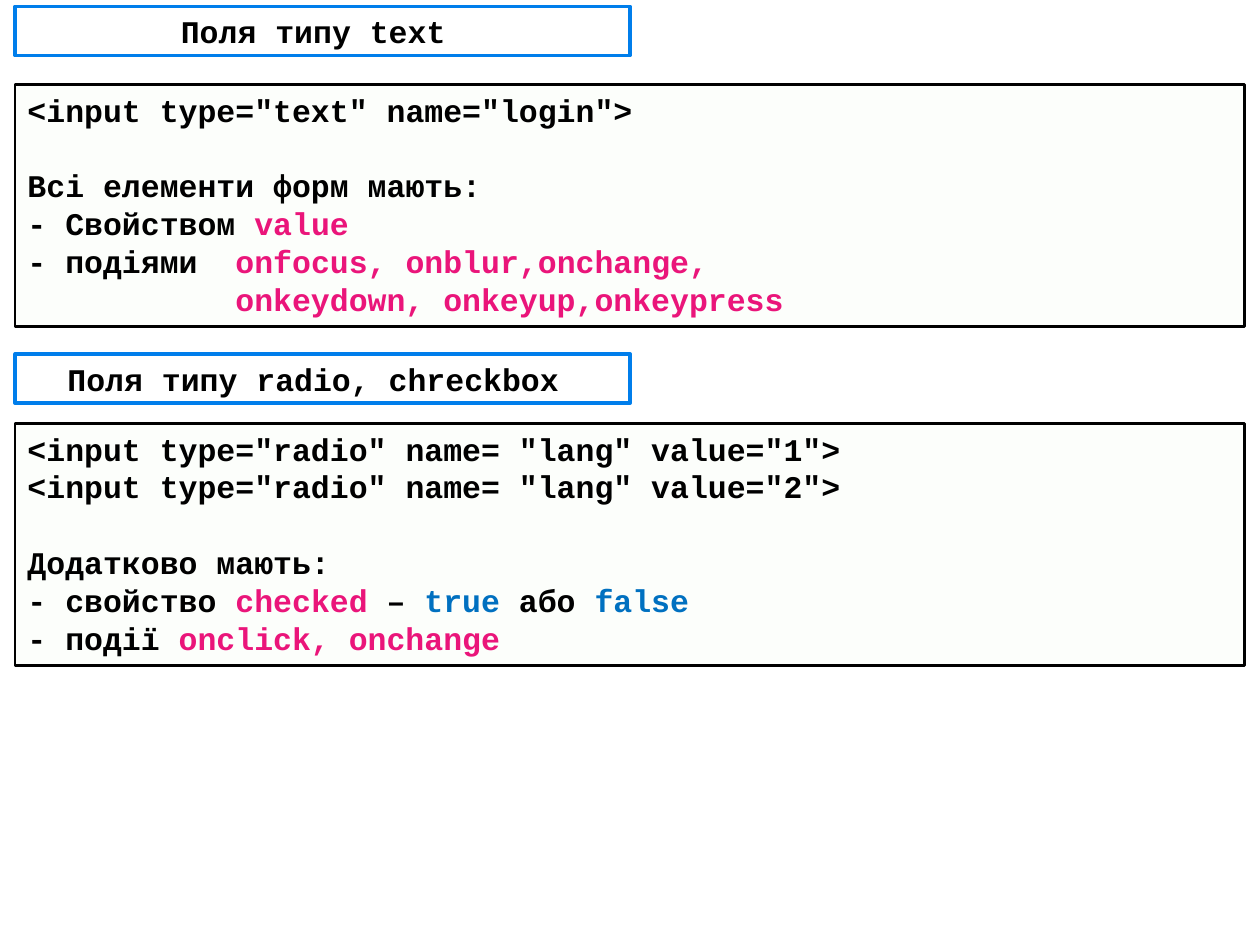
"""Build a slide about text, radio and checkbox form fields."""
from lxml import etree
from pptx import Presentation
from pptx import util as u
from pptx.dml.color import RGBColor
from pptx.enum import shapes, text
from pptx.oxml.ns import qn

COLORS = {"black": "000000", "white": "FFFFFF", "frame": "007EEB",
          "panel": "E5F6D8", "pink": "EA157A", "blue": "0070C0"}
FONT_SIZE = 18
LINE_GAP = 21.6
CHAR_WIDTH = 0.15
LEFT = 0.12


def rgb(name):
    """Return the named colour."""
    return RGBColor.from_string(COLORS[name])


def add_box(slide, top, width, height, fill, line, weight, alpha=None):
    """Add an outlined rectangle and return it."""
    sp = slide.shapes.add_shape(
        shapes.MSO_SHAPE.RECTANGLE, u.Inches(LEFT), u.Inches(top),
        u.Inches(width), u.Inches(height))
    sp.shadow.inherit = False
    sp.fill.solid()
    sp.fill.fore_color.rgb = rgb(fill)
    if alpha is not None:
        clr = sp.fill._xPr.find(qn("a:solidFill")).find(qn("a:srgbClr"))
        etree.SubElement(clr, qn("a:alpha")).set("val", str(alpha * 1000))
    sp.line.color.rgb = rgb(line)
    sp.line.width = u.Pt(weight)
    sp.text_frame.word_wrap = True
    return sp


def add_run(p, content, color="black", size=FONT_SIZE):
    """Add a bold monospaced run to a paragraph."""
    r = p.add_run()
    r.text = content
    r.font.name = "Courier New"
    r.font.size = u.Pt(size)
    r.font.bold = True
    r.font.color.rgb = rgb(color)


def add_title(slide, top, content):
    """Add a framed, centred section title."""
    sp = add_box(slide, top, 4.88, 0.39, "white", "frame", 2)
    tf = sp.text_frame
    tf.vertical_anchor = text.MSO_ANCHOR.MIDDLE
    p = tf.paragraphs[0]
    p.alignment = text.PP_ALIGN.CENTER
    add_run(p, content)


def add_panel(slide, top, lines):
    """Add a tinted panel from (runs, gap before, indent in characters) lines."""
    sp = add_box(slide, top, 9.76, 1.92, "panel", "black", 1.5, alpha=8)
    tf = sp.text_frame
    tf.vertical_anchor = text.MSO_ANCHOR.TOP
    tf.auto_size = text.MSO_AUTO_SIZE.SHAPE_TO_FIT_TEXT
    for i, (runs, gap, indent) in enumerate(lines):
        p = tf.add_paragraph() if i else tf.paragraphs[0]
        p.alignment = text.PP_ALIGN.LEFT
        if gap:
            p.space_before = u.Pt(gap)
        if indent:
            p._p.get_or_add_pPr().set("marL", str(u.Inches(indent * CHAR_WIDTH)))
        for run in runs:
            add_run(p, *run)


def main():
    """Build and save the slide."""
    prs = Presentation()
    prs.slide_width, prs.slide_height = u.Inches(10), u.Inches(7.5)
    s = prs.slides.add_slide(prs.slide_layouts[6])

    add_title(s, 0.05, "Поля типу text ")
    add_panel(s, 0.67, [
        ([('<input type="text" name="login">',)], 0, 0),
        ([("Всі елементи форм мають:",)], LINE_GAP, 0),
        ([("- Свойством ",), ("value", "pink")], 0, 0),
        ([("- подіями  ",), ("onfocus, onblur,onchange,", "pink")], 0, 0),
        ([("onkeydown, onkeyup,onkeypress", "pink")], 0, 11),
    ])
    add_title(s, 2.81, "Поля типу radio, chreckbox ")
    radios = [([(f'<input type="radio" name= "lang" value="{n}">',)], 0, 0)
              for n in (1, 2)]
    add_panel(s, 3.36, radios + [
        ([("Додатково мають:",)], LINE_GAP, 0),
        ([("- свойство ",), ("checked ", "pink"), ("–",), (" true ", "blue"),
          ("або",), (" false", "blue")], 0, 0),
        ([("- події ",), ("onclick, onchange", "pink")], 0, 0),
    ])
    prs.save("out.pptx")


if __name__ == "__main__":
    main()
